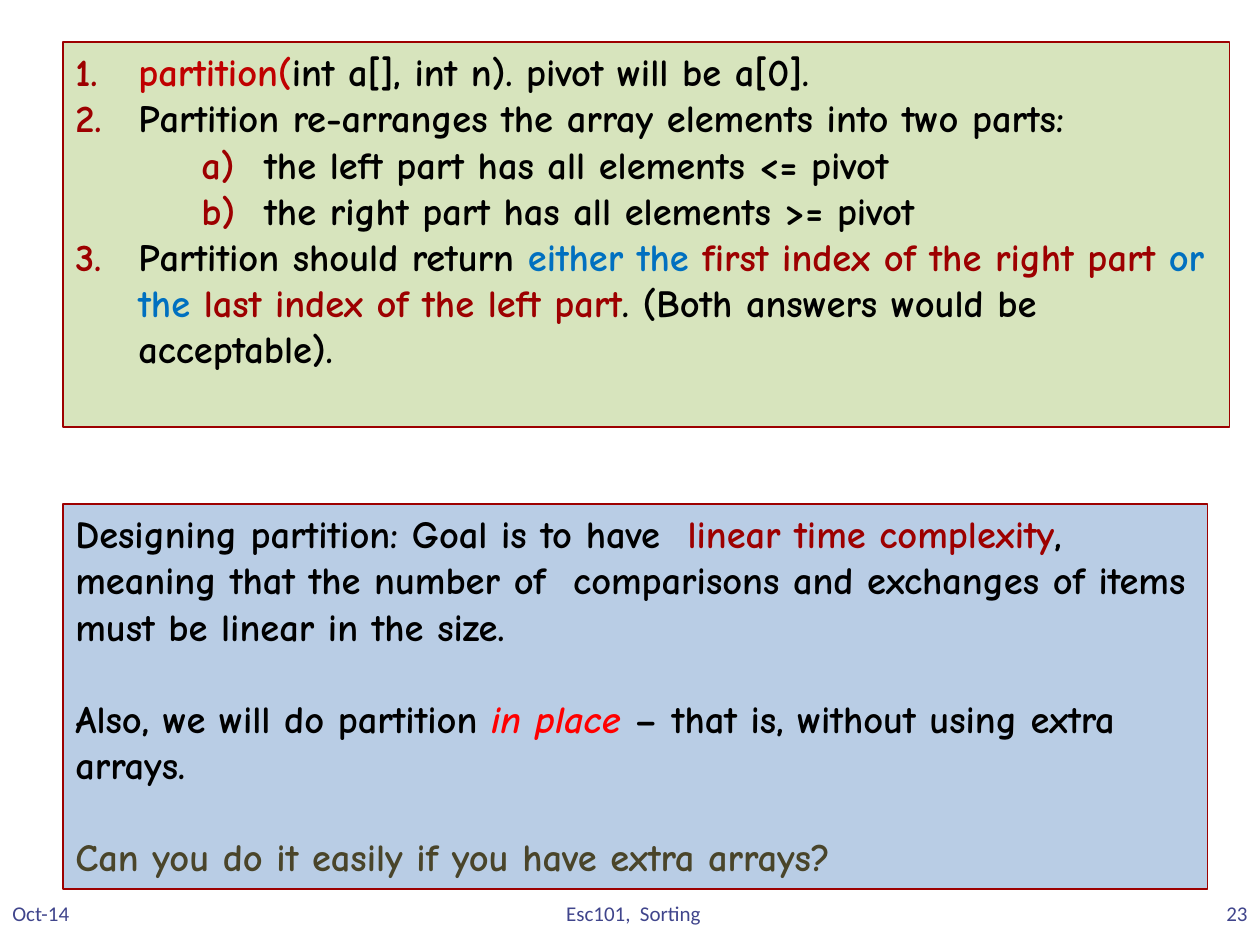
import pptx
import pptx.util
import pptx.dml.color
import pptx.enum.shapes
import pptx.enum.text
import lxml.etree
from dataclasses import dataclass

Pt = pptx.util.Pt
Align = pptx.enum.text.PP_ALIGN
Anchor = pptx.enum.text.MSO_ANCHOR


@dataclass(frozen=True)
class Theme:
    ink: str = "000000"
    dark: str = "9D0000"
    call: str = "C00000"
    blue: str = "0070C0"
    red: str = "FF0000"
    olive: str = "4A452A"
    foot: str = "40458C"
    green_bg: str = "D7E4BD"
    blue_bg: str = "B9CDE5"
    body: str = "Comic Neue"
    small: str = "Calibri"
    body_size: float = 22
    foot_size: float = 12
    gap: float = 26.4  # one body line


T = Theme()


def rgb(code):
    return pptx.dml.color.RGBColor.from_string(code)


def panel(slide, box, fill):
    """Outlined rectangle; returns its text frame."""
    shape = slide.shapes.add_shape(
        pptx.enum.shapes.MSO_SHAPE.RECTANGLE, *map(Pt, box))
    shape.shadow.inherit = False
    shape.fill.solid()
    shape.fill.fore_color.rgb = rgb(fill)
    shape.line.color.rgb = rgb(T.dark)
    shape.line.width = Pt(0.75)
    frame = shape.text_frame
    frame.word_wrap = True
    frame.vertical_anchor = Anchor.TOP
    return frame


def number(para, scheme, left):
    """Hanging automatic number in the accent colour."""
    props = para._p.get_or_add_pPr()
    props.set("marL", str(Pt(left)))
    props.set("indent", str(Pt(-36)))
    tag = pptx.oxml.ns.qn
    tint = lxml.etree.SubElement(props, tag("a:buClr"))
    lxml.etree.SubElement(tint, tag("a:srgbClr"), val=T.dark)
    lxml.etree.SubElement(props, tag("a:buAutoNum"), type=scheme)


def write(para, runs):
    """Body text from (text, colour) pairs."""
    para.alignment = Align.LEFT
    font = para.font
    font.name, font.size, font.bold = T.body, Pt(T.body_size), True
    for text, color in runs:
        run = para.add_run()
        run.text = text
        run.font.color.rgb = rgb(color)
        if color == T.red:
            run.font.italic = True


def paras(frame, count):
    yield frame.paragraphs[0]
    for _ in range(count - 1):
        yield frame.add_paragraph()


def steps(frame, items):
    for para, (level, runs) in zip(paras(frame, len(items)), items):
        para.level = level
        number(para, ("arabicPeriod", "alphaLcParenR")[level], 36 + 72 * level)
        write(para, runs)


def prose(frame, items):
    for i, (para, runs) in enumerate(zip(paras(frame, len(items)), items)):
        if i:
            para.space_before = Pt(T.gap)
        write(para, runs)


def footer(slide, left, width, text, align):
    frame = slide.shapes.add_textbox(
        Pt(left), Pt(504), Pt(width), Pt(36)).text_frame
    frame.word_wrap = True
    frame.vertical_anchor = Anchor.MIDDLE
    para = frame.paragraphs[0]
    para.text, para.alignment = text, align
    font = para.font
    font.name, font.size = T.small, Pt(T.foot_size)
    font.color.rgb = rgb(T.foot)


def main():
    deck = pptx.Presentation()
    deck.slide_width, deck.slide_height = Pt(720), Pt(540)
    slide = deck.slides.add_slide(deck.slide_layouts[6])

    # Rules of the partition function
    steps(panel(slide, (36, 24, 666.5, 220), T.green_bg), [
        (0, [("partition(", T.call),
             ("int a[], int n). pivot will be a[0].", T.ink)]),
        (0, [("Partition re-arranges the array elements into two parts:",
              T.ink)]),
        (1, [("the left part has all elements <= pivot", T.ink)]),
        (1, [("the right part has all elements >= pivot", T.ink)]),
        (0, [("Partition should return ", T.ink),
             ("either the ", T.blue),
             ("first index of the right part ", T.dark),
             ("or the ", T.blue),
             ("last index of the left part", T.dark),
             (". (Both answers would be acceptable).", T.ink)]),
    ])

    # Design goals
    prose(panel(slide, (36, 288, 654, 220), T.blue_bg), [
        [("Designing partition: Goal is to have  ", T.ink),
         ("linear time complexity", T.dark),
         (", meaning that the number of  comparisons and exchanges of items "
          "must be linear in the size.", T.ink)],
        [("Also, we will do partition ", T.ink),
         ("in place", T.red),
         (" – that is, without using extra arrays.", T.ink)],
        [("Can you do it easily if you have extra arrays?", T.olive)],
    ])

    # Footer
    footer(slide, 0, 150, "Oct-14", Align.LEFT)
    footer(slide, 232, 260, "Esc101,  Sorting", Align.CENTER)
    footer(slide, 570, 150, "23", Align.RIGHT)

    deck.save("out.pptx")


if __name__ == "__main__":
    main()
